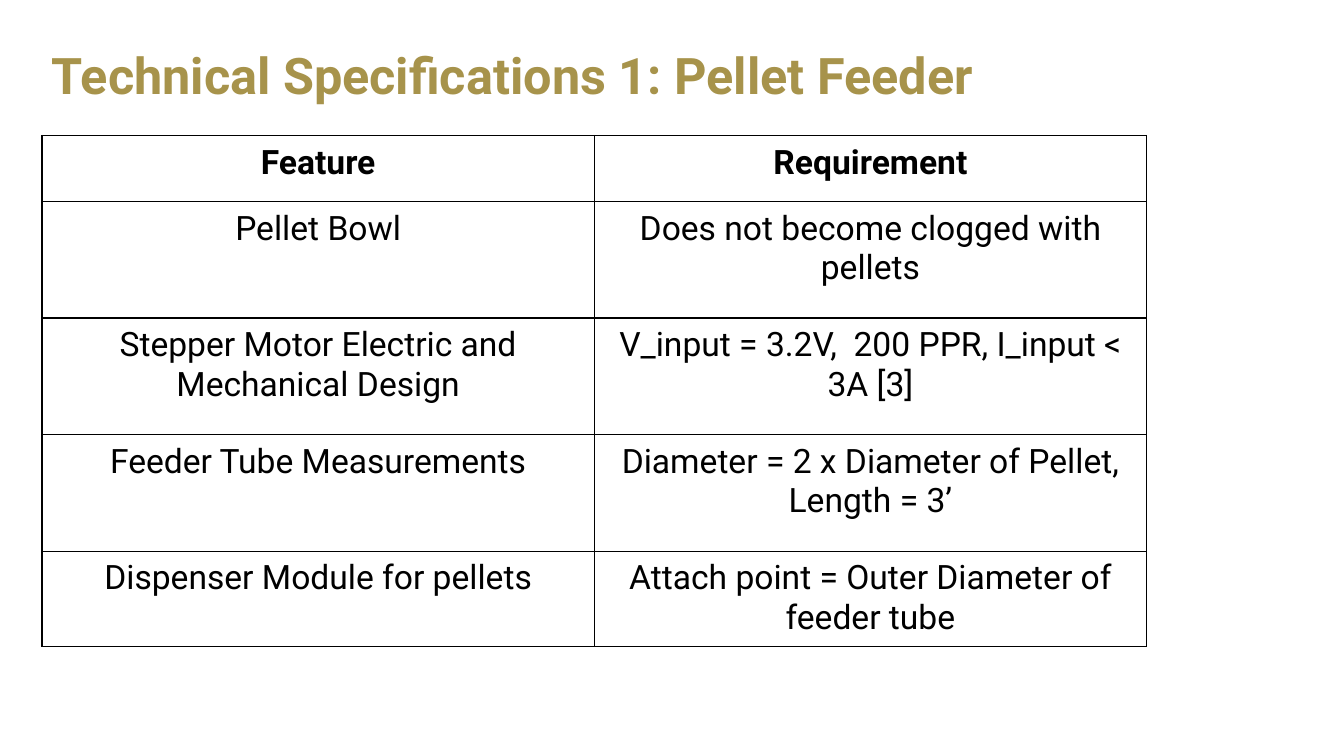
from lxml.etree import SubElement
from pptx import Presentation
from pptx.dml.color import RGBColor
from pptx.enum.text import MSO_ANCHOR, PP_ALIGN
from pptx.oxml.ns import qn
from pptx.util import Pt

PX = 9525  # EMU per px, for a slide of 1280 by 720 px
COLORS = {"gold": "A7934B", "black": "000000"}
SPECS = [
    ("Feature", "Requirement"),
    ("Pellet Bowl", "Does not become clogged with pellets"),
    ("Stepper Motor Electric and Mechanical Design",
     "V_input = 3.2V,  200 PPR, I_input < 3A [3]"),
    ("Feeder Tube Measurements", "Diameter = 2 x Diameter of Pellet, Length = 3’"),
    ("Dispenser Module for pellets", "Attach point = Outer Diameter of feeder tube"),
]
ROW_HEIGHTS = [63, 111, 111, 111, 80]
COL_WIDTH = 526


class SlideBuilder:
    font = "Roboto"
    cell_margin = 7

    def __init__(self, prs):
        self.slide = prs.slides.add_slide(prs.slide_layouts[6])

    def style(self, p, size, color, bold):
        p.font.name = self.font
        p.font.size = Pt(size)
        p.font.bold = bold
        p.font.color.rgb = RGBColor.from_string(COLORS[color])

    def title(self, text, *box):
        tf = self.slide.shapes.add_textbox(*(n * PX for n in box)).text_frame
        tf.word_wrap = True
        tf.vertical_anchor = MSO_ANCHOR.MIDDLE
        p = tf.paragraphs[0]
        p.text = text
        p.line_spacing = 0.9
        self.style(p, 36, "gold", True)

    def table(self, rows, left, top, col_width, heights):
        width = col_width * len(rows[0])
        box = (n * PX for n in (left, top, width, sum(heights)))
        table = self.slide.shapes.add_table(len(rows), len(rows[0]), *box).table
        table.first_row = table.horz_banding = False
        for col in table.columns:
            col.width = col_width * PX
        for i, (texts, height) in enumerate(zip(rows, heights)):
            table.rows[i].height = height * PX
            for j, text in enumerate(texts):
                self.cell(table.cell(i, j), text, bold=i == 0)

    def cell(self, cell, text, bold):
        margin = self.cell_margin * PX
        cell.margin_left = cell.margin_right = margin
        cell.margin_top = cell.margin_bottom = margin
        p = cell.text_frame.paragraphs[0]
        p.text = text
        p.alignment = PP_ALIGN.CENTER
        self.style(p, 24, "black", bold)
        self.borders(cell)
        cell.fill.background()

    def borders(self, cell):
        """Draw a thin black line on all four sides of the cell."""
        tc_pr = cell._tc.get_or_add_tcPr()
        for side in ("lnL", "lnR", "lnT", "lnB"):
            ln = SubElement(tc_pr, qn(f"a:{side}"), w=str(Pt(1)))
            fill = SubElement(ln, qn("a:solidFill"))
            SubElement(fill, qn("a:srgbClr"), val=COLORS["black"])


def main():
    prs = Presentation()
    prs.slide_width, prs.slide_height = 1280 * PX, 720 * PX
    s = SlideBuilder(prs)
    s.title("Technical Specifications 1: Pellet Feeder", 40, 21, 1200, 107)
    s.table(SPECS, 40, 129, COL_WIDTH, ROW_HEIGHTS)
    prs.save("out.pptx")


if __name__ == "__main__":
    main()
